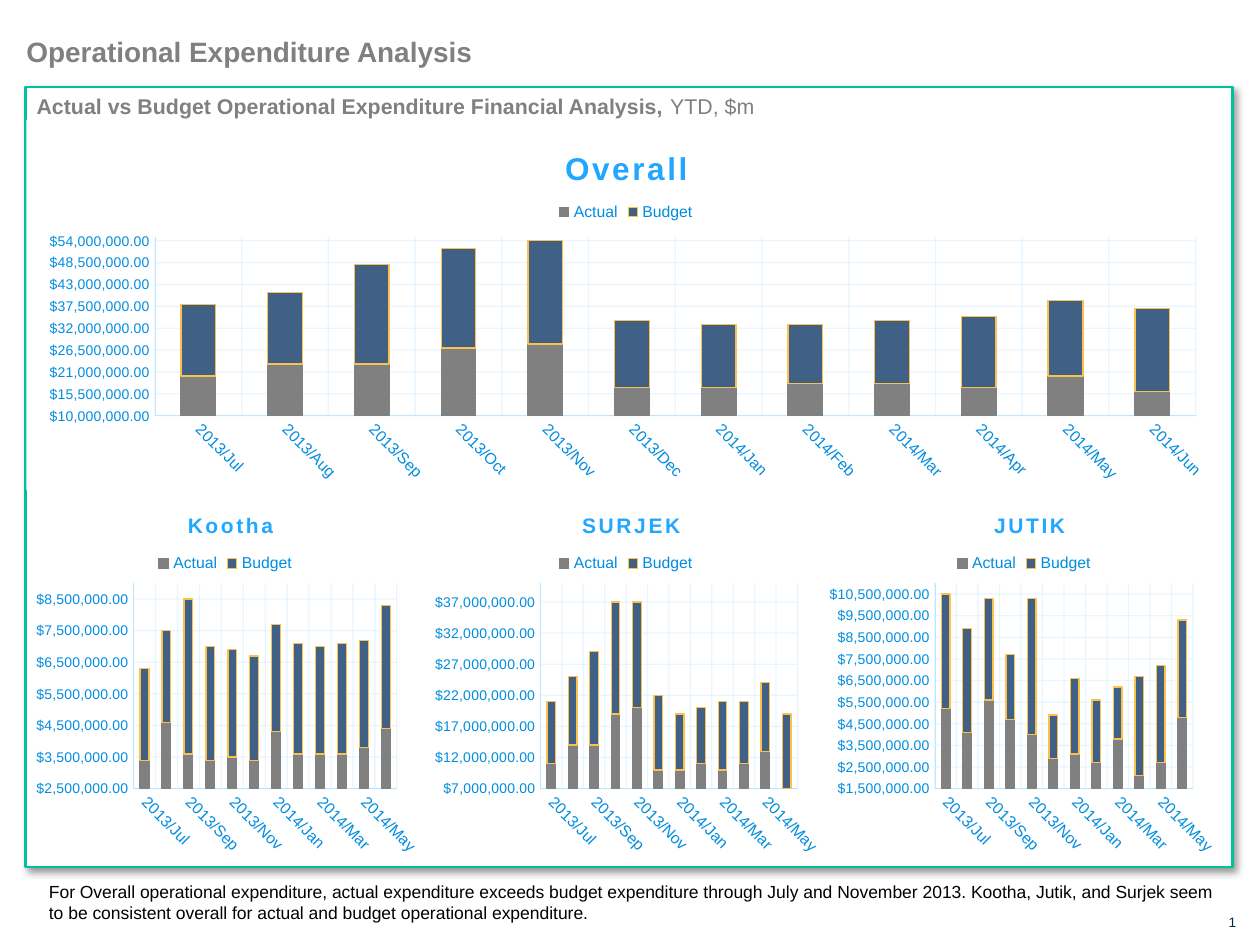
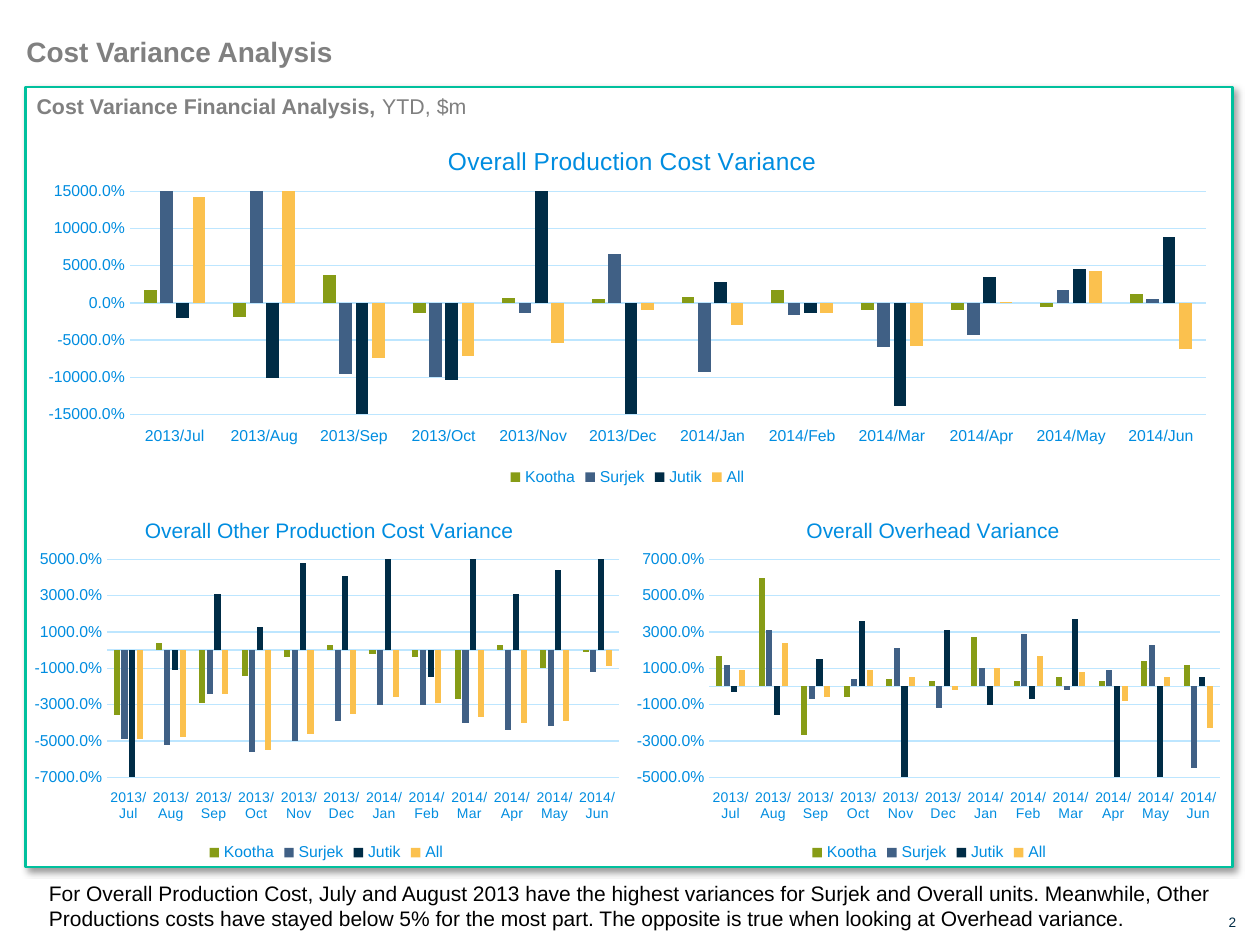
from dataclasses import dataclass

from lxml import etree
from pptx import Presentation
from pptx.chart.data import CategoryChartData
from pptx.dml.color import RGBColor
from pptx.enum.chart import XL_CHART_TYPE, XL_LEGEND_POSITION, XL_TICK_LABEL_POSITION, XL_TICK_MARK
from pptx.enum.shapes import MSO_SHAPE
from pptx.enum.text import MSO_ANCHOR, MSO_AUTO_SIZE, PP_ALIGN
from pptx.oxml import parse_xml
from pptx.oxml.ns import nsdecls, qn
from pptx.util import Inches, Pt

STACKED = XL_CHART_TYPE.COLUMN_STACKED
CLUSTERED = XL_CHART_TYPE.COLUMN_CLUSTERED
LEGEND_TOP, LEGEND_BOTTOM = XL_LEGEND_POSITION.TOP, XL_LEGEND_POSITION.BOTTOM
LABELS_LOW = XL_TICK_LABEL_POSITION.LOW
NO_TICK = XL_TICK_MARK.NONE
RECTANGLE = MSO_SHAPE.RECTANGLE
TOP, MIDDLE = MSO_ANCHOR.TOP, MSO_ANCHOR.MIDDLE
LEFT, RIGHT = PP_ALIGN.LEFT, PP_ALIGN.RIGHT
GROW = MSO_AUTO_SIZE.SHAPE_TO_FIT_TEXT
TITLE_ONLY_LAYOUT = 5


@dataclass(frozen=True)
class Theme:
    font: str = "Arial"
    white: str = "FFFFFF"
    black: str = "000000"
    grey: str = "808080"
    navy: str = "002C46"
    steel: str = "406085"
    olive: str = "879C16"
    amber: str = "FBC14E"
    frame: str = "00C09D"
    label: str = "008DE0"
    heading: str = "22A7FF"
    grid: str = "BDE6FF"
    title_size: float = 16
    subtitle_size: float = 12.2
    number_size: float = 7.8
    chart_size: float = 10
    legend_size: float = 9
    small_size: float = 8


THEME = Theme()
MONTHS = [f"2013/{m}" for m in "Jul Aug Sep Oct Nov Dec".split()] + [
    f"2014/{m}" for m in "Jan Feb Mar Apr May Jun".split()]
DOLLARS = r'"$"#,##0.00;[Red]\-"$"#,##0.00'
PERCENT = "0.0%"
MILLION = 1_000_000
UNIT_COLORS = {"Kootha": THEME.olive, "Surjek": THEME.steel, "Jutik": THEME.navy, "All": THEME.amber}

# Boxes are left, top, width, height in inches on the slide; spots are left, top.
# Expenditure values are in millions of dollars.
EXPENDITURE_CHARTS = [
    dict(title="Kootha", box=(0.22, 3.89, 3.17, 2.96), plot=(1.06, 4.63, 2.09, 1.63),
         title_spot=(1.46, 4.04), legend_spot=(1.22, 4.36), scale=(2.5, 9, 1),
         actual=[3.4, 4.6, 3.6, 3.4, 3.5, 3.4, 4.3, 3.6, 3.6, 3.6, 3.8, 4.4],
         budget=[2.9, 2.9, 4.9, 3.6, 3.4, 3.3, 3.4, 3.5, 3.4, 3.5, 3.4, 3.9]),
    dict(title="SURJEK", box=(3.38, 3.89, 3.19, 2.96), plot=(4.29, 4.63, 2.04, 1.63),
         title_spot=(4.59, 4.04), legend_spot=(4.4, 4.36), scale=(7, 40, 5),
         actual=[11, 14, 14, 19, 20, 10, 10, 11, 10, 11, 13, 7],
         budget=[10, 11, 15, 18, 17, 12, 9, 9, 11, 10, 11, 12]),
    dict(title="JUTIK", box=(6.55, 3.89, 3.19, 2.96), plot=(7.42, 4.63, 2.05, 1.63),
         title_spot=(7.86, 4.04), legend_spot=(7.56, 4.36), scale=(1.5, 11, 1),
         actual=[5.2, 4.1, 5.6, 4.7, 4, 2.9, 3.1, 2.7, 3.8, 2.1, 2.7, 4.8],
         budget=[5.3, 4.8, 4.7, 3, 6.3, 2, 3.5, 2.9, 2.4, 4.6, 4.5, 4.5]),
    dict(title="Overall", box=(0.21, 0.95, 9.55, 2.94), plot=(1.23, 1.88, 8.26, 1.42),
         title_spot=(4.44, 1.13), legend_spot=(4.4, 1.57), scale=(10, 55, 5.5),
         title_size=18, fill=THEME.white,
         actual=[20, 23, 23, 27, 28, 17, 17, 18, 18, 17, 20, 16],
         budget=[18, 18, 25, 25, 26, 17, 16, 15, 16, 18, 19, 21]),
]

VARIANCE_CHARTS = [
    dict(title="Overall Other Production Cost Variance", box=(0.18, 3.93, 4.82, 2.95),
         plot=(0.85, 4.44, 4.06, 1.73), title_spot=(1.12, 4.08), scale=(-70, 50, 20),
         values=[[-36, 4, -29, -14, -4, 3, -2, -4, -27, 3, -10, -1],
                 [-49, -52, -24, -56, -50, -39, -30, -30, -40, -44, -42, -12],
                 [-467, -11, 31, 13, 48, 41, 63, -15, 62, 31, 44, 61],
                 [-49, -48, -24, -55, -46, -35, -26, -29, -37, -40, -39, -9]]),
    dict(title="Overall Overhead Variance", box=(4.97, 3.93, 4.81, 2.95),
         plot=(5.63, 4.44, 4.05, 1.73), title_spot=(6.37, 4.08), scale=(-50, 70, 20),
         values=[[17, 60, -27, -6, 4, 3, 27, 3, 5, 3, 14, 12],
                 [12, 31, -7, 4, 21, -12, 10, 29, -2, 9, 23, -45],
                 [-3, -16, 15, 36, -59, 31, -10, -7, 37, -120, -70, 5],
                 [9, 24, -6, 9, 5, -2, 10, 17, 8, -8, 5, -23]]),
    dict(title="Overall Production Cost Variance", box=(0.2, 0.95, 9.56, 2.95),
         plot=(1.03, 1.52, 8.54, 1.77), title_spot=(3.52, 1.12), scale=(-150, 150, 50),
         title_size=14, category_size=THEME.legend_size,
         values=[[18, -19, 37, -13, 7, 5, 8, 18, -9, -9, -6, 12],
                 [304, 410, -96, -100, -13, 66, -93, -17, -60, -43, 18, 5],
                 [-20, -101, -242, -104, 611, -3441, 28, -14, -139, 35, 45, 88],
                 [142, 175, -74, -71, -54, -9, -30, -14, -58, 1, 43, -62]]),
]


def style_font(font, size, color, bold=False):
    font.name, font.size, font.bold = THEME.font, Pt(size), bold
    font.color.rgb = RGBColor.from_string(color)


def style_line(line, color, width):
    line.color.rgb = RGBColor.from_string(color)
    line.width = Pt(width)


def add_run(paragraph, text, *, size, color, bold=False):
    run = paragraph.add_run()
    run.text = text
    style_font(run.font, size, color, bold)


def place_part(part, index, chart_box, spot, inner=False):
    """Give a chart part a fixed place, as fractions of the chart's box."""
    for layout in part.findall(qn("c:layout")):
        part.remove(layout)
    left, top, width, height = chart_box
    fractions = {"x": (spot[0] - left) / width, "y": (spot[1] - top) / height}
    if len(spot) == 4:
        fractions.update(w=spot[2] / width, h=spot[3] / height)
    target = '<c:layoutTarget val="inner"/>' if inner else ""
    modes = '<c:xMode val="edge"/><c:yMode val="edge"/>'
    numbers = "".join(f'<c:{key} val="{value:.4f}"/>' for key, value in fractions.items())
    part.insert(index, parse_xml(
        f'<c:layout {nsdecls("c")}><c:manualLayout>{target}{modes}{numbers}</c:manualLayout></c:layout>'))


class Deck:
    def __init__(self, theme):
        self.theme = theme
        self.presentation = Presentation()
        self.presentation.slide_width, self.presentation.slide_height = Inches(10), Inches(7.5)
        self.slide = None

    def start_slide(self, title, subtitle, note, note_size):
        """Add a slide with the shared title, frame, subtitle, note and number."""
        theme = self.theme
        layout = self.presentation.slide_layouts[TITLE_ONLY_LAYOUT]
        self.slide = self.presentation.slides.add_slide(layout)
        self.number()
        self.frame()
        self.title(title)
        paragraph = self.text_box((0.29, 0.74, 8.08, 0.21), inset=0)
        add_run(paragraph, subtitle + ", ", size=theme.subtitle_size, color=theme.grey, bold=True)
        add_run(paragraph, "YTD, $m", size=theme.subtitle_size, color=theme.grey)
        paragraph = self.text_box((0.29, 6.94, 9.47, 0.44))
        add_run(paragraph, note, size=note_size, color=theme.black)

    def title(self, text):
        shape = self.slide.shapes.title
        shape.left, shape.top, shape.width, shape.height = map(Inches, (0.21, 0.27, 9.58, 0.27))
        # Keep the title in front of the frame
        self.slide.shapes.element.append(shape.element)
        paragraph = self.prepare_frame(shape.text_frame, 0, TOP)
        paragraph.alignment = LEFT
        add_run(paragraph, text, size=self.theme.title_size, color=self.theme.grey, bold=True)

    def prepare_frame(self, text_frame, inset, anchor):
        text_frame.word_wrap, text_frame.auto_size = True, GROW
        text_frame.vertical_anchor = anchor
        if inset is not None:
            text_frame.margin_left = text_frame.margin_right = Inches(inset)
            text_frame.margin_top = text_frame.margin_bottom = Inches(inset)
        return text_frame.paragraphs[0]

    def text_box(self, box, inset=None, anchor=TOP):
        shape = self.slide.shapes.add_textbox(*map(Inches, box))
        return self.prepare_frame(shape.text_frame, inset, anchor)

    def number(self):
        paragraph = self.text_box((9.67, 7.25, 0.14, 0.13), inset=0, anchor=MIDDLE)
        paragraph.alignment = RIGHT
        number = len(self.presentation.slides)
        add_run(paragraph, str(number), size=self.theme.number_size, color=self.theme.navy)
        # Turn the run into a slide number field
        run = paragraph.runs[0]._r
        run.tag = qn("a:fld")
        run.set("id", "{B6F15528-21DE-4FAA-801E-634DDDAF4B2B}")
        run.set("type", "slidenum")

    def frame(self):
        shape = self.slide.shapes.add_shape(RECTANGLE, *map(Inches, (0.2, 0.69, 9.58, 6.19)))
        shape.fill.solid()
        shape.fill.fore_color.rgb = RGBColor.from_string(self.theme.white)
        style_line(shape.line, self.theme.frame, 1.5)
        shape.shadow.inherit = False
        effects = shape.element.spPr.find(qn("a:effectLst"))
        effects.append(parse_xml(
            f'<a:outerShdw {nsdecls("a")} blurRad="{Pt(4)}" dist="{Pt(3)}" dir="2700000" algn="tl" '
            f'rotWithShape="0"><a:srgbClr val="{self.theme.black}"><a:alpha val="40000"/>'
            '</a:srgbClr></a:outerShdw>'))

    def chart(self, kind, series, *, title, box, plot, title_spot, scale, number_format,
              title_size=12, title_color=None, bold=False, category_size, value_size,
              gap, overlap, fill=None, legend_spot=None):
        """Add a column chart; series is a list of name, values, fill, line colour."""
        theme = self.theme
        data = CategoryChartData()
        data.categories = MONTHS
        for name, values, *_ in series:
            data.add_series(name, values)
        chart = self.slide.shapes.add_chart(kind, *map(Inches, box), data).chart
        style_font(chart.font, theme.chart_size, theme.navy)
        column_plot = chart.plots[0]
        column_plot.gap_width, column_plot.overlap = gap, overlap
        column_plot.vary_by_categories = False
        for column, (_, _, color, line_color) in zip(column_plot.series, series):
            column.invert_if_negative = False
            column.format.fill.solid()
            column.format.fill.fore_color.rgb = RGBColor.from_string(color)
            if line_color:
                style_line(column.format.line, line_color, 0.75)

        # Title and legend
        chart.has_title = True
        add_run(chart.chart_title.text_frame.paragraphs[0], title,
                size=title_size, color=title_color or theme.label, bold=bold)
        chart.has_legend = True
        chart.legend.position = LEGEND_TOP if legend_spot else LEGEND_BOTTOM
        chart.legend.include_in_layout = False
        style_font(chart.legend.font, theme.legend_size, theme.label)

        # Axes
        category_axis, value_axis = chart.category_axis, chart.value_axis
        for axis, size in ((category_axis, category_size), (value_axis, value_size)):
            axis.major_tick_mark = axis.minor_tick_mark = NO_TICK
            style_font(axis.tick_labels.font, size, theme.label)
        value_axis.minimum_scale, value_axis.maximum_scale, value_axis.major_unit = scale
        value_axis.tick_labels.number_format = number_format
        value_axis.tick_labels.number_format_is_linked = False
        style_line(value_axis.major_gridlines.format.line, theme.grid, 0.75)

        # Background and places of the parts
        root = chart.element
        paint = f'<a:solidFill><a:srgbClr val="{fill}"/></a:solidFill>' if fill else "<a:noFill/>"
        root.find(qn("c:chart")).addnext(parse_xml(
            f'<c:spPr {nsdecls("c", "a")}>{paint}<a:ln><a:noFill/></a:ln></c:spPr>'))
        place_part(root.xpath("c:chart/c:title")[0], 1, box, title_spot)
        place_part(root.xpath("c:chart/c:plotArea")[0], 0, box, plot, inner=True)
        if legend_spot:
            place_part(root.xpath("c:chart/c:legend")[0], 1, box, legend_spot)
        return chart

    def expenditure_chart(self, *, actual, budget, scale, **settings):
        theme = self.theme
        series = [(name, [round(value * MILLION) for value in values], color, line_color)
                  for name, values, color, line_color in (
                      ("Actual", actual, theme.grey, theme.grey),
                      ("Budget", budget, theme.steel, theme.amber))]
        chart = self.chart(STACKED, series, scale=[value * MILLION for value in scale],
                           number_format=DOLLARS, title_color=theme.heading, bold=True,
                           category_size=theme.legend_size, value_size=theme.small_size,
                           gap=150, overlap=100, **settings)
        for axis in (chart.category_axis, chart.value_axis):
            style_line(axis.format.line, theme.grid, 0.25)
            style_line(axis.major_gridlines.format.line, theme.grid, 0.75)
        # Pale gridlines, slanted months and spaced title letters
        for color in chart.element.xpath(".//c:majorGridlines//a:srgbClr"):
            etree.SubElement(color, qn("a:alpha")).set("val", "32000")
        chart.element.xpath(".//c:catAx/c:txPr/a:bodyPr")[0].set("rot", "2700000")
        chart.element.xpath("c:chart/c:title//a:rPr")[0].set("spc", "150")

    def variance_chart(self, *, values, category_size=THEME.small_size, **settings):
        series = [(unit, unit_values, color, None)
                  for (unit, color), unit_values in zip(UNIT_COLORS.items(), values)]
        chart = self.chart(CLUSTERED, series, number_format=PERCENT, category_size=category_size,
                           value_size=self.theme.legend_size, gap=219, overlap=-27, **settings)
        chart.category_axis.tick_label_position = LABELS_LOW
        style_line(chart.category_axis.format.line, self.theme.grid, 0.75)
        chart.value_axis.format.line.fill.background()


def main():
    deck = Deck(THEME)

    # Slide 1: actual against budget
    deck.start_slide(
        "Operational Expenditure Analysis",
        "Actual vs Budget Operational Expenditure Financial Analysis",
        "For Overall operational expenditure, actual expenditure exceeds budget expenditure through "
        "July and November 2013. Kootha, Jutik, and Surjek seem to be consistent overall for actual "
        "and budget operational expenditure.", note_size=10)
    for settings in EXPENDITURE_CHARTS:
        deck.expenditure_chart(**settings)

    # Slide 2: cost variance
    deck.start_slide(
        "Cost Variance Analysis",
        "Cost Variance Financial Analysis",
        "For Overall Production Cost, July and August 2013 have the highest variances for Surjek and "
        "Overall units. Meanwhile, Other Productions costs have stayed below 5% for the most part. "
        "The opposite is true when looking at Overhead variance.", note_size=12)
    for settings in VARIANCE_CHARTS:
        deck.variance_chart(**settings)

    deck.presentation.save("out.pptx")


if __name__ == "__main__":
    main()
